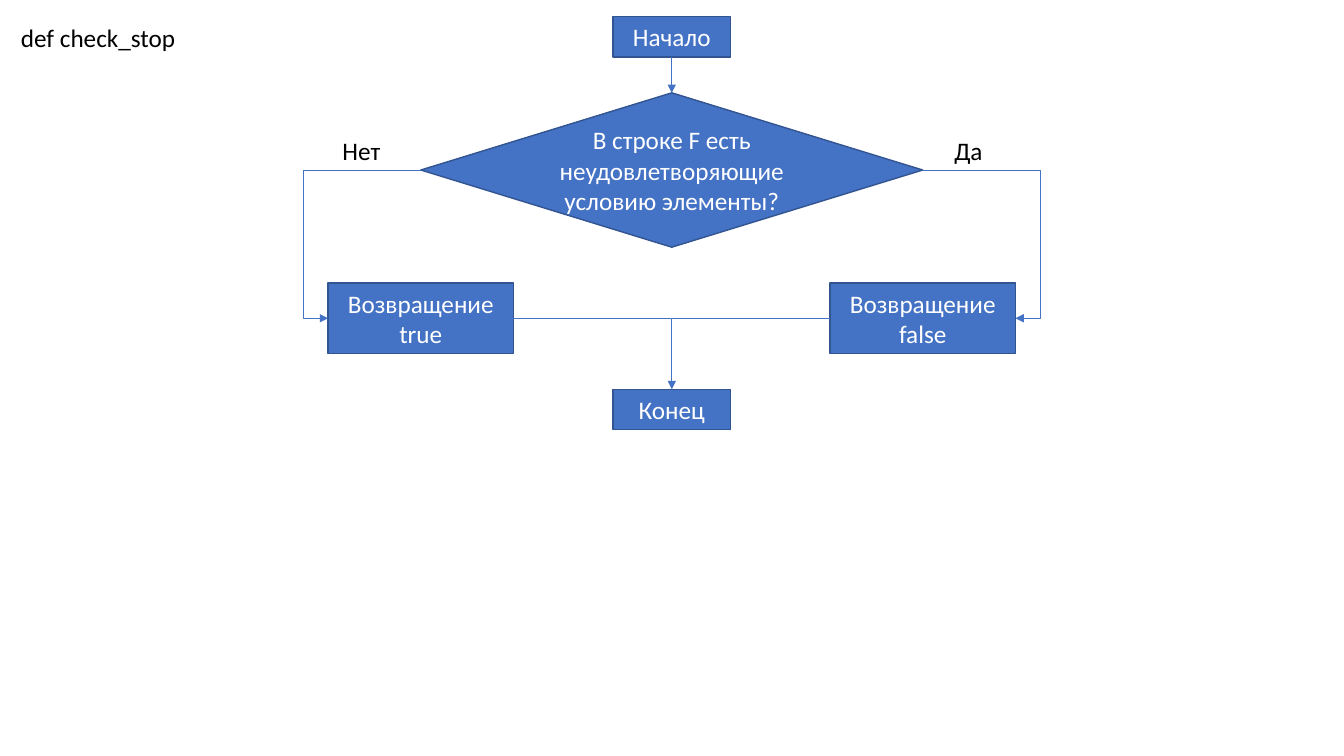
from dataclasses import dataclass

from pptx import Presentation, util as u
from pptx.dml.color import RGBColor
from pptx.enum import shapes, text
from pptx.oxml.ns import qn
from lxml import etree

FONT, SIZE = "Calibri", u.Pt(18)
BLUE, EDGE, WHITE, BLACK = "4472C4", "325491", "FFFFFF", "000000"
PROCESS = shapes.MSO_SHAPE.FLOWCHART_PROCESS
DECISION = shapes.MSO_SHAPE.FLOWCHART_DECISION
STRAIGHT, ELBOW = shapes.MSO_CONNECTOR.STRAIGHT, shapes.MSO_CONNECTOR.ELBOW
TOP, LEFT, BOTTOM, RIGHT = range(4)  # connection sites

# Layout in centimetres: rows share one gap, branches sit under the decision's corners
CENTRE, GAP = 16.93, 0.9
TERMINAL_W, TERMINAL_H = 2.97, 1.02
DECISION_W, DECISION_H = 12.65, 3.89
RETURN_W, RETURN_H = 4.67, 1.78
START_Y = 0.42
DECISION_Y = START_Y + TERMINAL_H + GAP
RETURN_Y = DECISION_Y + DECISION_H + GAP
END_Y = RETURN_Y + RETURN_H + GAP
TRUE_X, FALSE_X = CENTRE - DECISION_W / 2, CENTRE + DECISION_W / 2


@dataclass
class Step:
    wording: str
    centre: float
    top: float
    width: float
    height: float
    kind: shapes.MSO_SHAPE = PROCESS


@dataclass
class Label:
    wording: str
    left: float
    top: float
    width: float
    wrap: bool = False


@dataclass
class Flow:
    source: str
    exit: int
    target: str
    entry: int
    preset: str


STEPS = {
    "start": Step("Начало", CENTRE, START_Y, TERMINAL_W, TERMINAL_H),
    "check": Step("В строке F есть неудовлетворяющие условию элементы?",
                  CENTRE, DECISION_Y, DECISION_W, DECISION_H, DECISION),
    "true": Step("Возвращение true", TRUE_X, RETURN_Y, RETURN_W, RETURN_H),
    "false": Step("Возвращение false", FALSE_X, RETURN_Y, RETURN_W, RETURN_H),
    "end": Step("Конец", CENTRE, END_Y, TERMINAL_W, TERMINAL_H),
}
FLOWS = [
    Flow("start", BOTTOM, "check", TOP, "line"),
    Flow("check", LEFT, "true", LEFT, "bentConnector3"),
    Flow("check", RIGHT, "false", RIGHT, "bentConnector3"),
    Flow("true", RIGHT, "end", TOP, "bentConnector2"),
]
LABELS = [
    Label("def check_stop", 0.28, 0.44, 4.5, wrap=True),
    Label("Нет", 8.38, 3.29, 1.48),
    Label("Да", 23.8, 3.29, 1.24),
]


def rgb(colour: str) -> RGBColor:
    return RGBColor.from_string(colour)


def write(frame, wording: str, colour: str) -> None:
    frame.text = wording
    font = frame.paragraphs[0].runs[0].font
    font.name, font.size, font.color.rgb = FONT, SIZE, rgb(colour)


def draw_step(slide, step: Step):
    box = slide.shapes.add_shape(step.kind, u.Cm(step.centre - step.width / 2), u.Cm(step.top),
                                 u.Cm(step.width), u.Cm(step.height))
    box.shadow.inherit = False
    box.fill.solid()
    box.fill.fore_color.rgb = rgb(BLUE)
    box.line.color.rgb = rgb(EDGE)
    box.line.width = u.Pt(1)
    write(box.text_frame, step.wording, WHITE)
    box.text_frame.vertical_anchor = text.MSO_ANCHOR.MIDDLE
    box.text_frame.paragraphs[0].alignment = text.PP_ALIGN.CENTER
    return box


def draw_label(slide, label: Label) -> None:
    frame = slide.shapes.add_textbox(u.Cm(label.left), u.Cm(label.top),
                                     u.Cm(label.width), u.Cm(TERMINAL_H)).text_frame
    frame.word_wrap = label.wrap
    frame.auto_size = text.MSO_AUTO_SIZE.SHAPE_TO_FIT_TEXT
    write(frame, label.wording, BLACK)


def style_line(connector, arrow: bool) -> None:
    connector.line.color.rgb = rgb(BLUE)
    connector.line.width = u.Pt(0.5)
    if arrow:
        etree.SubElement(connector.line._get_or_add_ln(), qn("a:tailEnd"), type="triangle")
    etree.SubElement(connector._element.spPr, qn("a:effectLst"))


def draw_flow(slide, flow: Flow, boxes: dict) -> None:
    kind = STRAIGHT if flow.preset == "line" else ELBOW
    connector = slide.shapes.add_connector(kind, 0, 0, 0, 0)
    connector.begin_connect(boxes[flow.source], flow.exit)
    connector.end_connect(boxes[flow.target], flow.entry)
    geometry = connector._element.spPr.find(qn("a:prstGeom"))
    geometry.set("prst", flow.preset)
    if flow.preset == "bentConnector3":  # the bend runs outside the return box
        etree.SubElement(geometry.find(qn("a:avLst")), qn("a:gd"), name="adj1", fmla="val 127100")
    style_line(connector, arrow=True)


def main() -> None:
    deck = Presentation()
    deck.slide_width, deck.slide_height = u.Cm(33.87), u.Cm(19.05)
    slide = deck.slides.add_slide(deck.slide_layouts[6])

    # Steps and the flows between them
    boxes = {key: draw_step(slide, step) for key, step in STEPS.items()}
    for flow in FLOWS:
        draw_flow(slide, flow, boxes)

    # The false branch joins the way to the end
    merge_y = u.Cm(RETURN_Y + RETURN_H / 2)
    merge = slide.shapes.add_connector(STRAIGHT, u.Cm(FALSE_X - RETURN_W / 2), merge_y,
                                       u.Cm(CENTRE), merge_y)
    merge.begin_connect(boxes["false"], LEFT)
    style_line(merge, arrow=False)

    # Function name and branch answers
    for label in LABELS:
        draw_label(slide, label)

    deck.save("out.pptx")


main()
